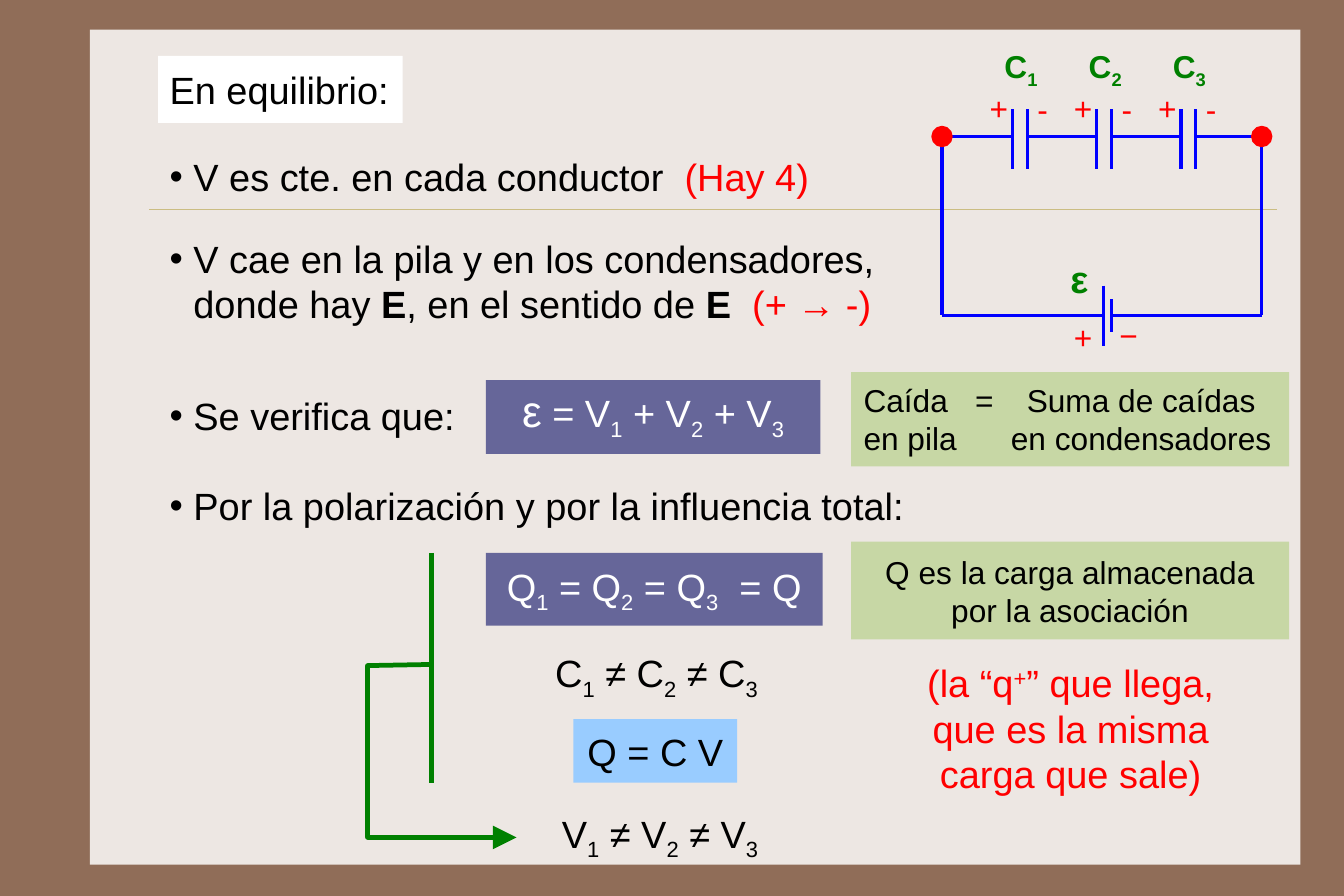
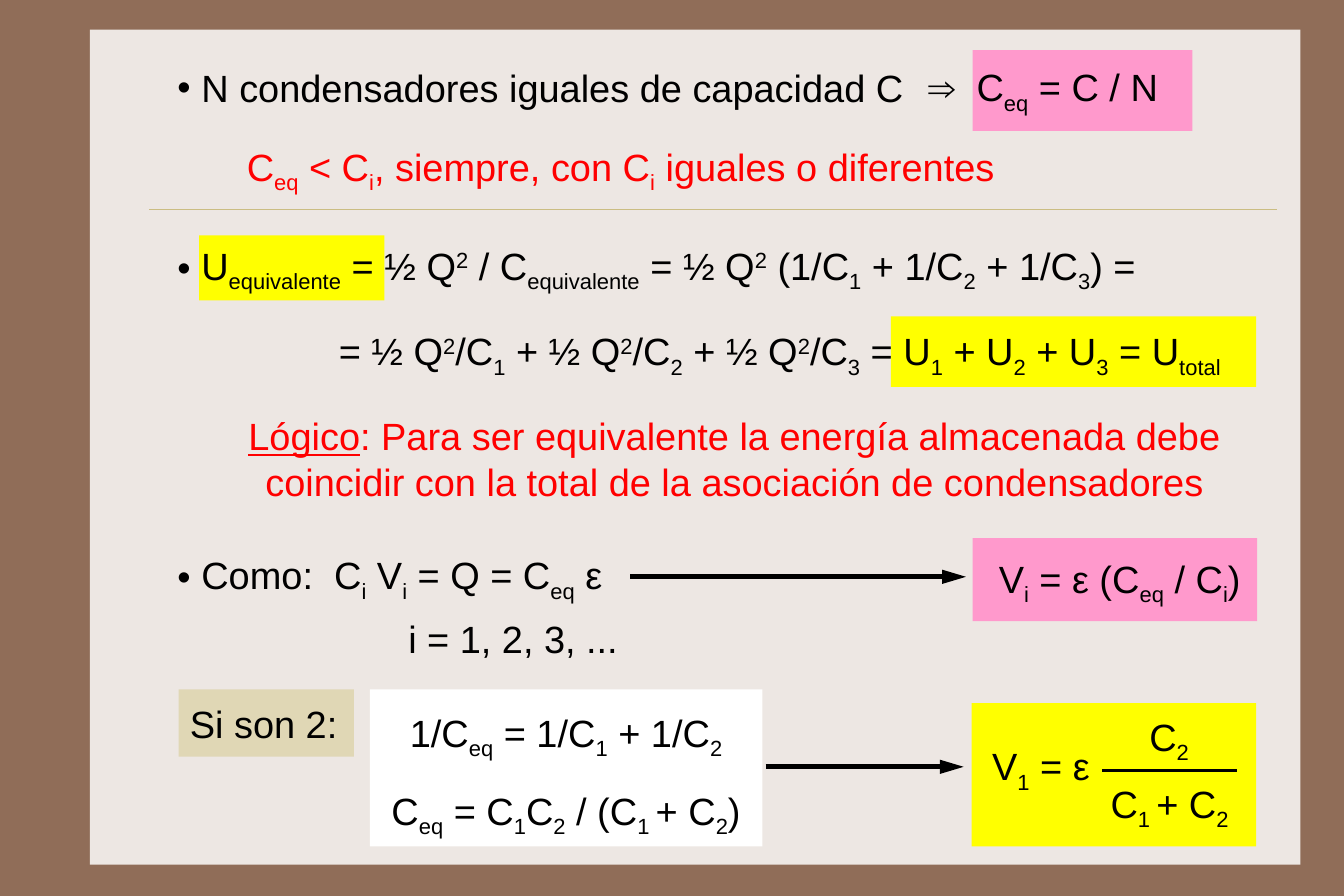
"""Two slides on capacitors in series: equilibrium and equivalent capacity."""
from lxml.etree import SubElement
from pptx import Presentation
from pptx.dml.color import RGBColor
from pptx.enum.shapes import MSO_CONNECTOR, MSO_SHAPE
from pptx.enum.text import MSO_ANCHOR, MSO_AUTO_SIZE, PP_ALIGN
from pptx.oxml.ns import qn
from pptx.util import Inches, Pt

BROWN = RGBColor(0x90, 0x6D, 0x58)
PANEL = RGBColor(0xED, 0xE7, 0xE3)
RULE = RGBColor(0xCB, 0xBD, 0x83)
BLACK = RGBColor(0, 0, 0)
WHITE = RGBColor(0xFF, 0xFF, 0xFF)
RED = RGBColor(0xFF, 0, 0)
GREEN = RGBColor(0, 0x80, 0)
BLUE = RGBColor(0, 0, 0xFF)
SLATE = RGBColor(0x66, 0x66, 0x99)
SKY = RGBColor(0x99, 0xCC, 0xFF)
SAGE = RGBColor(0xC7, 0xD7, 0xA5)
SAND = RGBColor(0xE0, 0xD7, 0xB5)
PINK = RGBColor(0xFF, 0x99, 0xCC)
YELLOW = RGBColor(0xFF, 0xFF, 0)

FONT = "Arial"
HANG = Inches(0.21)
CENTER = {"align": PP_ALIGN.CENTER}
WRAPPED = {"align": PP_ALIGN.CENTER, "wrap": True}
MARKS = {"sub": "_", "sup": "^", "bold": "*", "red": "!", "underlined": "~", "large": "#"}

EQUILIBRIUM = {
    "title": ((1.39, 0.49, 2.15, 0.59), "En equilibrio:", {"fill": WHITE}),
    "body": ((1.39, 1.26, 6.88, 3.5), [
        ("V es cte. en cada conductor  !{(Hay 4)}", 0),
        ("V cae en la pila y en los condensadores, donde hay *{E}, "
         "en el sentido de *{E}  !{(+ → -)}", 23),
        ("Se verifica que:", 42),
        ("Por la polarización y por la influencia total:", 28)]),
    "boxes": [
        ((4.27, 3.34, 2.94, 0.65), ["#{ε} = V_{1} + V_{2} + V_{3}"],
         {"fill": SLATE, "color": WHITE, "insets": (0.12, 0.08, 0.12, 0.16), **CENTER}),
        ((4.27, 4.86, 2.96, 0.64), ["Q_{1} = Q_{2} = Q_{3}  = Q"],
         {"fill": SLATE, "color": WHITE, **CENTER}),
        ((5.04, 6.32, 1.44, 0.56), ["Q = C V"], {"fill": SKY, **CENTER}),
        ((7.48, 3.27, 3.85, 0.83), ["Caída\t=\tSuma de caídas", "en pila\t\ten condensadores"],
         {"fill": SAGE, "size": 20, "wrap": True, "insets": (0.11, 0.08, 0.02, 0.08),
          "tabs": [(0.98, "l"), (2.44, "ctr")]}),
        ((7.48, 4.76, 3.85, 0.86), ["Q es la carga almacenada", "por la asociación"],
         {"fill": SAGE, "size": 20, **WRAPPED})],
    "texts": [
        ((4.76, 5.62, 2.02, 0.58), ["C_{1} ≠ C_{2} ≠ C_{3}"], CENTER),
        ((4.84, 7.03, 1.97, 0.48), ["V_{1} ≠ V_{2} ≠ V_{3}"], {}),
        ((7.94, 5.71, 2.94, 1.39), ["(la “q^{+}” que llega, que es la misma carga que sale)"],
         {"color": RED, **WRAPPED})],
}

EQUIVALENT = {
    "title": ((1.46, 0.47, 6.6, 0.59), "N condensadores iguales de capacidad C", {"bullet": True}),
    "body": ((1.46, 2.04, 9, 3.4), [
        ("U_{equivalente} = ½ Q^{2} / C_{equivalente} = ½ Q^{2} "
         "(1/C_{1} + 1/C_{2} + 1/C_{3}) =", 0),
        ("Como:  C_{i} V_{i} = Q = C_{eq} ε", 163)]),
    "boxes": [
        ((7.83, 2.78, 3.21, 0.62), [], {"fill": YELLOW}),
        ((1.75, 2.07, 1.63, 0.57), [], {"fill": YELLOW}),
        ((8.55, 0.44, 1.93, 0.71), [], {"fill": PINK}),
        ((8.55, 4.73, 2.5, 0.73), [], {"fill": PINK}),
        ((8.54, 6.18, 2.5, 1.26), [], {"fill": YELLOW}),
        ((1.57, 6.06, 1.54, 0.59), ["Si son 2:"], {"fill": SAND}),
        ((3.25, 6.06, 3.45, 1.38),
         ["1/C_{eq} = 1/C_{1} + 1/C_{2}", "C_{eq} = C_{1}C_{2} / (C_{1 }+ C_{2})"],
         {"fill": WHITE, "spacing": 1.5, "insets": (0.02, 0.04, 0.02, 0.16), **WRAPPED})],
    "texts": [
        ((2.88, 2.79, 7.9, 0.51),
         ["= ½ Q^{2}/C_{1} + ½ Q^{2}/C_{2} + ½ Q^{2}/C_{3} = U_{1} + U_{2} + U_{3} = U_{total}"], {}),
        ((8.06, 0.47, 2.45, 0.59), ["⇒  C_{eq} = C / N"], {}),
        ((1.98, 1.17, 6.95, 0.59), ["C_{eq} < C_{i}, siempre, con C_{i} iguales o diferentes"],
         {"color": RED, **WRAPPED}),
        ((1.94, 3.54, 9.03, 0.99),
         ["~{Lógico}: Para ser equivalente la energía almacenada debe "
          "coincidir con la total de la asociación de condensadores"],
         {"color": RED, **WRAPPED}),
        ((3.49, 5.32, 1.73, 0.51), ["i = 1, 2, 3, ..."], {}),
        ((8.68, 4.79, 2.38, 0.59), ["V_{i} = ε (C_{eq} / C_{i})"], {}),
        ((8.47, 6.44, 1.36, 0.59), ["V_{1} = ε"], CENTER),
        ((9.55, 6.77, 1.46, 0.59), ["C_{1 }+ C_{2}"], CENTER),
        ((9.97, 6.18, 0.61, 0.59), ["C_{2}"], CENTER)],
}


def split_marks(text):
    for chunk in text.split("}"):
        plain, brace, marked = chunk.partition("{")
        if brace:
            yield plain[:-1], ""
            yield marked, plain[-1]
        else:
            yield plain, ""


def write(p, text, size=24, color=BLACK, bold=False):
    for words, mark in split_marks(text):
        if not words:
            continue
        r = p.add_run()
        r.text = words
        font = r.font
        font.name = FONT
        font.size = Pt(28 if mark == MARKS["large"] else size)
        font.bold = bold or mark == MARKS["bold"]
        font.underline = mark == MARKS["underlined"]
        font.color.rgb = RED if mark == MARKS["red"] else color
        if mark in (MARKS["sub"], MARKS["sup"]):
            font._element.set("baseline", "-25000" if mark == MARKS["sub"] else "30000")


def add_bullet(p):
    pPr = p._p.get_or_add_pPr()
    pPr.set("marL", str(HANG))
    pPr.set("indent", str(-HANG))
    SubElement(pPr, qn("a:buFont")).set("typeface", FONT)
    SubElement(pPr, qn("a:buChar")).set("char", "•")


def add_tabs(p, tabs):
    tab_list = SubElement(p._p.get_or_add_pPr(), qn("a:tabLst"))
    for pos, kind in tabs:
        tab = SubElement(tab_list, qn("a:tab"))
        tab.set("pos", str(Inches(pos)))
        tab.set("algn", kind)


def set_frame(tf, anchor, wrap=False, insets=(0.1, 0.09, 0.1, 0.09)):
    tf.auto_size = MSO_AUTO_SIZE.NONE
    tf.word_wrap = wrap
    tf.vertical_anchor = anchor
    tf.margin_left, tf.margin_top, tf.margin_right, tf.margin_bottom = map(Inches, insets)


def add_box(s, at, lines, fill=None, align=PP_ALIGN.LEFT, spacing=None, tabs=None,
            wrap=False, insets=(0.1, 0.09, 0.1, 0.09), **font):
    at = [Inches(v) for v in at]
    if fill is None:
        sp = s.shapes.add_textbox(*at)
    else:
        sp = s.shapes.add_shape(MSO_SHAPE.RECTANGLE, *at)
        sp.shadow.inherit = False
        sp.fill.solid()
        sp.fill.fore_color.rgb = fill
        sp.line.fill.background()
    tf = sp.text_frame
    set_frame(tf, MSO_ANCHOR.TOP if fill is None else MSO_ANCHOR.MIDDLE, wrap, insets)
    for i, line in enumerate(lines):
        p = tf.add_paragraph() if i else tf.paragraphs[0]
        p.alignment = align
        if spacing:
            p.line_spacing = spacing
        if tabs:
            add_tabs(p, tabs)
        write(p, line, **font)
    return sp


def add_arrowhead(sp, width):
    tail = SubElement(sp.line._get_or_add_ln(), qn("a:tailEnd"))
    for key, value in (("type", "triangle"), ("w", width), ("len", "lg")):
        tail.set(key, value)


def add_line(s, x1, y1, x2, y2, color, width):
    ln = s.shapes.add_connector(MSO_CONNECTOR.STRAIGHT, *map(Inches, (x1, y1, x2, y2)))
    ln.line.color.rgb = color
    ln.line.width = Pt(width)
    SubElement(ln._element.spPr, qn("a:effectLst"))
    return ln


def place(s, sp, at):
    sp.left, sp.top, sp.width, sp.height = map(Inches, at)
    s.shapes.element.append(sp._element)


def add_slide(prs, content):
    s = prs.slides.add_slide(prs.slide_layouts[1])
    for at, lines, style in content["boxes"]:
        add_box(s, at, lines, **style)

    at, text, style = content["title"]
    title = s.shapes.title
    place(s, title, at)
    if "fill" in style:
        title.fill.solid()
        title.fill.fore_color.rgb = style["fill"]
    set_frame(title.text_frame, MSO_ANCHOR.MIDDLE)
    p = title.text_frame.paragraphs[0]
    p.alignment = PP_ALIGN.LEFT
    if style.get("bullet"):
        add_bullet(p)
    write(p, text)

    at, bullets = content["body"]
    body = s.placeholders[1]
    place(s, body, at)
    tf = body.text_frame
    set_frame(tf, MSO_ANCHOR.TOP, wrap=True)
    for i, (text, before) in enumerate(bullets):
        p = tf.add_paragraph() if i else tf.paragraphs[0]
        p.space_before = Pt(before)
        add_bullet(p)
        write(p, text)

    for at, lines, style in content["texts"]:
        add_box(s, at, lines, **style)
    return s


def add_master_art(prs, s):
    master = prs.slide_master
    master.background.fill.solid()
    master.background.fill.fore_color.rgb = BROWN
    panel = add_box(s, (0.79, 0.26, 10.64, 7.34), [], fill=PANEL)
    rule = add_line(s, 1.31, 1.84, 11.22, 1.84, RULE, 0.25)
    for i, sp in enumerate((panel, rule)):
        sp._element.xpath(".//p:cNvPr")[0].set("id", str(90 + i))
        master.shapes.element.insert(2 + i, sp._element)


def draw_circuit(s):
    left, right, top, bottom = 8.28, 11.09, 1.2, 2.77
    pitch, gap = 0.74, 0.13
    plates = [8.9 + pitch * i for i in range(3)]
    battery = (9.7, 9.77)
    starts = [left] + [x + gap for x in plates]
    wires = [(a, top, b, top) for a, b in zip(starts, plates + [right])]
    wires += [(x, 0.96, x, 1.49) for plate in plates for x in (plate, plate + gap)]
    wires += [(x, top, x, bottom) for x in (left, right)]
    wires += [(left, bottom, battery[0], bottom), (battery[1], bottom, right, bottom),
              (battery[0], 2.51, battery[0], 3.04), (battery[1], 2.63, battery[1], 2.92)]
    for wire in wires:
        add_line(s, *wire, BLUE, 2)

    signs = [(9.34, 2.7, "+"), (9.74, 2.69, "−")]
    for i, x in enumerate(plates, 1):
        signs += [(x - 0.3, 0.69, "+"), (x + 0.12, 0.7, "-")]
        add_box(s, (x - 0.17, 0.36, 0.55, 0.57), [f"C_{{{i}}}"], size=20, color=GREEN,
                bold=True, insets=(0.1, 0.05, 0.1, 0.05))
    for x, y, sign in signs:
        add_box(s, (x, y, 0.37, 0.51), [sign], size=20, color=RED)
    add_box(s, (9.31, 2.23, 0.37, 0.4), ["ε"], color=GREEN, bold=True,
            insets=(0.1, 0.02, 0.1, 0.02))

    size = 0.16
    for x in (left, right):
        node = s.shapes.add_shape(MSO_SHAPE.OVAL, Inches(x - size / 2), Inches(top - size / 2),
                                  Inches(size), Inches(size))
        node.shadow.inherit = False
        node.fill.solid()
        node.fill.fore_color.rgb = RED
        node.line.color.rgb = RED
        node.line.width = Pt(2)


def draw_conclusion(s):
    add_line(s, 3.79, 4.86, 3.79, 6.88, GREEN, 3)
    start, *rest = [(Inches(x), Inches(y)) for x, y in
                    ((3.78, 5.84), (3.23, 5.85), (3.23, 7.36), (4.54, 7.36))]
    builder = s.shapes.build_freeform(*start)
    builder.add_line_segments(rest, close=False)
    elbow = builder.convert_to_shape()
    elbow.shadow.inherit = False
    elbow.fill.background()
    elbow.line.color.rgb = GREEN
    elbow.line.width = Pt(3)
    add_arrowhead(elbow, "lg")


def main():
    prs = Presentation()
    prs.slide_width, prs.slide_height = Pt(850.5), Pt(567)

    s = add_slide(prs, EQUILIBRIUM)
    add_master_art(prs, s)
    draw_circuit(s)
    draw_conclusion(s)

    s = add_slide(prs, EQUIVALENT)
    for x1, y, x2 in ((5.54, 5.07, 8.49), (6.73, 6.74, 8.47)):
        add_arrowhead(add_line(s, x1, y, x2, y, BLACK, 3), "med")
    add_line(s, 9.69, 6.77, 10.87, 6.77, BLACK, 2)

    prs.save("out.pptx")


if __name__ == "__main__":
    main()
